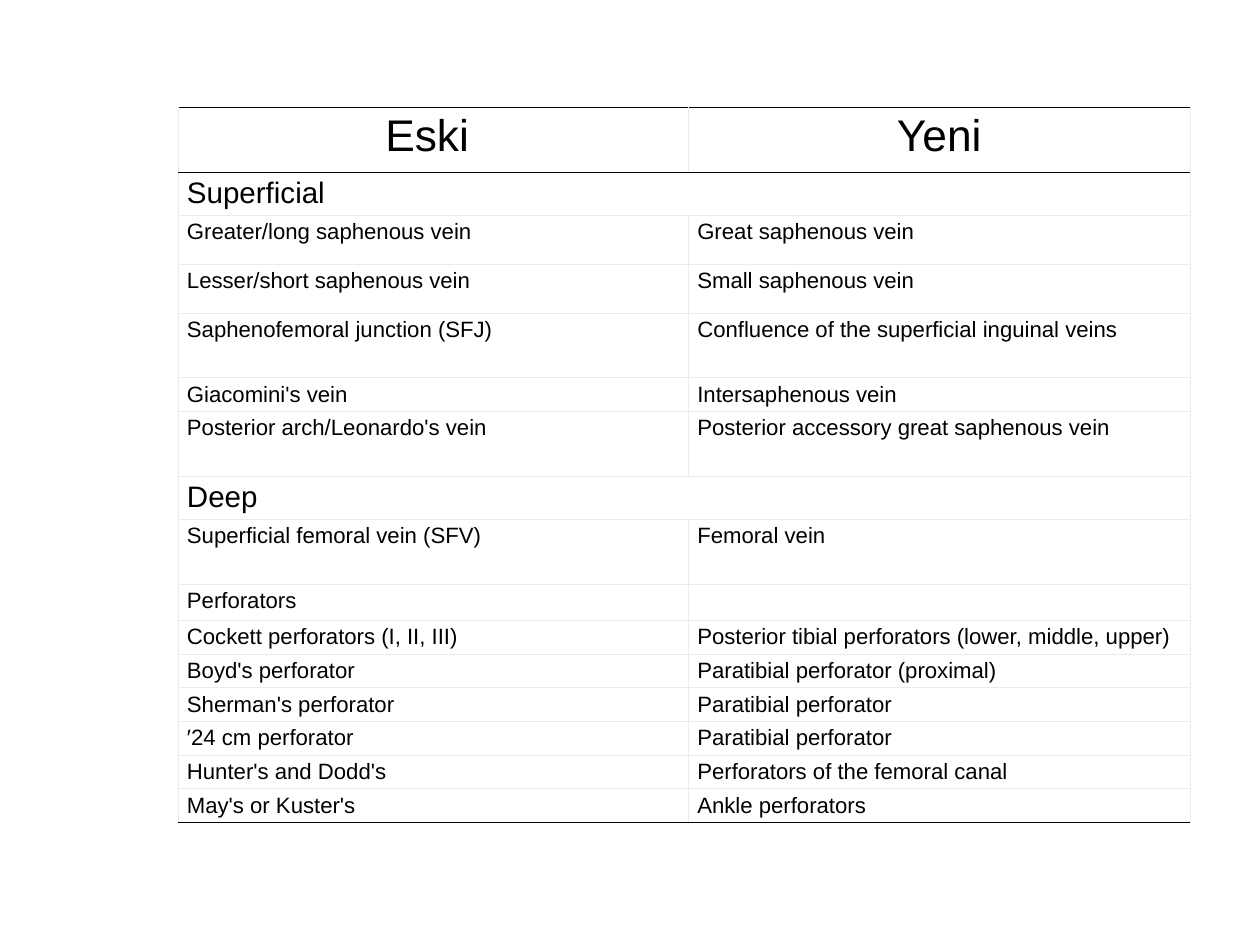
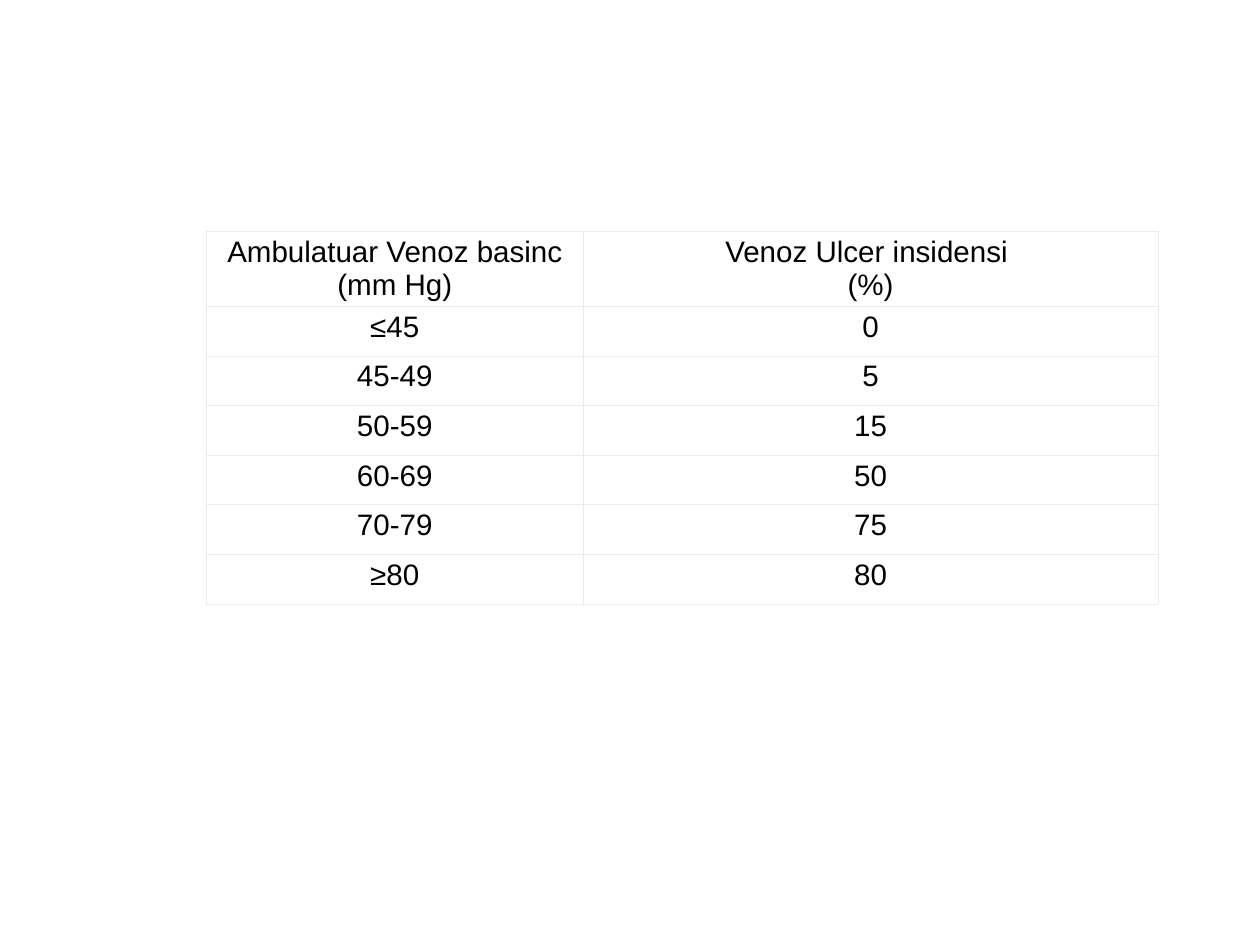
import pptx
import pptx.dml.color
import pptx.enum.text
import pptx.oxml
import pptx.oxml.ns
import pptx.util

Inches = pptx.util.Inches
Pt = pptx.util.Pt
RGBColor = pptx.dml.color.RGBColor
PP_ALIGN = pptx.enum.text.PP_ALIGN

FONT = "Arial"
TEXT = RGBColor(0x00, 0x00, 0x00)
CELL_FILL = RGBColor(0xFF, 0xFF, 0xFF)
GRID = RGBColor(0xEB, 0xEB, 0xEB)
RULE = RGBColor(0x01, 0x01, 0x01)
BORDER_WIDTH = Pt(0.45)

TITLE_SIZE, SECTION_SIZE, ENTRY_SIZE = 36, 24, 18

# Row height, old name, new name; a section heading has no new name.
VEIN_NAMES = [
    (0.73, "Eski ", "Yeni"),
    (0.49, "Superficial", None),
    (0.55, "Greater/long saphenous vein", "Great saphenous vein"),
    (0.55, "Lesser/short saphenous vein", "Small saphenous vein"),
    (0.73, "Saphenofemoral junction (SFJ)", "Confluence of the superficial inguinal veins"),
    (0.37, "Giacomini's vein", "Intersaphenous vein"),
    (0.73, "Posterior arch/Leonardo's vein", "Posterior accessory great saphenous vein"),
    (0.49, "Deep", None),
    (0.73, "Superficial femoral vein (SFV)", "Femoral vein"),
    (0.37, "Perforators", ""),
    (0.37, "Cockett perforators (I, II, III)", "Posterior tibial perforators (lower, middle, upper)"),
    (0.37, "Boyd's perforator", "Paratibial perforator (proximal)"),
    (0.37, "Sherman's perforator", "Paratibial perforator"),
    (0.37, "′24 cm perforator", "Paratibial perforator"),
    (0.37, "Hunter's and Dodd's", "Perforators of the femoral canal"),
    (0.37, "May's or Kuster's", "Ankle perforators"),
]

ULCER_INCIDENCE = [
    ("Ambulatuar Venoz basinc (mm Hg)", "Venoz Ulcer insidensi \n(%)"),
    ("≤45", "0"),
    ("45-49", "5"),
    ("50-59", "15"),
    ("60-69", "50"),
    ("70-79", "75"),
    ("≥80", "80"),
]


def add_grid(presentation, left, top, column_widths, row_heights):
    """Add a slide that holds one table, and return the table."""
    slide = presentation.slides.add_slide(presentation.slide_layouts[6])
    frame = slide.shapes.add_table(
        len(row_heights), len(column_widths), Inches(left), Inches(top),
        Inches(sum(column_widths)), Inches(sum(row_heights)))
    table = frame.table
    table.first_row = table.horz_banding = False
    for column, width in zip(table.columns, column_widths):
        column.width = Inches(width)
    for row, height in zip(table.rows, row_heights):
        row.height = Inches(height)
    return table


def set_borders(cell, top, bottom):
    properties = cell._tc.get_or_add_tcPr()
    for side, color in (("L", GRID), ("R", GRID), ("T", top), ("B", bottom)):
        properties.append(pptx.oxml.parse_xml(
            f'<a:ln{side} {pptx.oxml.ns.nsdecls("a")} w="{BORDER_WIDTH}">'
            f'<a:solidFill><a:srgbClr val="{color}"/></a:solidFill></a:ln{side}>'))


def fill_cell(cell, text, size, alignment, top=GRID, bottom=GRID):
    set_borders(cell, top, bottom)
    cell.fill.solid()
    cell.fill.fore_color.rgb = CELL_FILL
    cell.text_frame.text = text
    for paragraph in cell.text_frame.paragraphs:
        paragraph.alignment = alignment
        for run in paragraph.runs:
            run.font.name = FONT
            run.font.size = Pt(size)
            run.font.color.rgb = TEXT


def add_vein_names(presentation):
    table = add_grid(presentation, 2.01, 1.21, [5.76, 5.66],
                     [height for height, _, _ in VEIN_NAMES])
    last = len(VEIN_NAMES) - 1
    for index, (_, old_name, new_name) in enumerate(VEIN_NAMES):
        is_section = new_name is None
        if index == 0:
            size, alignment = TITLE_SIZE, PP_ALIGN.CENTER
        else:
            size = SECTION_SIZE if is_section else ENTRY_SIZE
            alignment = PP_ALIGN.LEFT
        top = RULE if index in (0, 1) else GRID
        bottom = RULE if index in (0, last) else GRID
        for column, name in enumerate((old_name, new_name or "")):
            fill_cell(table.cell(index, column), name, size, alignment, top, bottom)
        if is_section:
            table.cell(index, 0).merge(table.cell(index, 1))


def add_ulcer_incidence(presentation):
    heights = [0.8] + [0.56] * (len(ULCER_INCIDENCE) - 1)
    table = add_grid(presentation, 2.33, 2.61, [4.25, 6.49], heights)
    for index, texts in enumerate(ULCER_INCIDENCE):
        for column, text in enumerate(texts):
            fill_cell(table.cell(index, column), text, SECTION_SIZE, PP_ALIGN.CENTER)


def main():
    presentation = pptx.Presentation()
    presentation.slide_width = Inches(14.22)
    presentation.slide_height = Inches(10.66)
    add_vein_names(presentation)
    add_ulcer_incidence(presentation)
    presentation.save("out.pptx")


if __name__ == "__main__":
    main()
